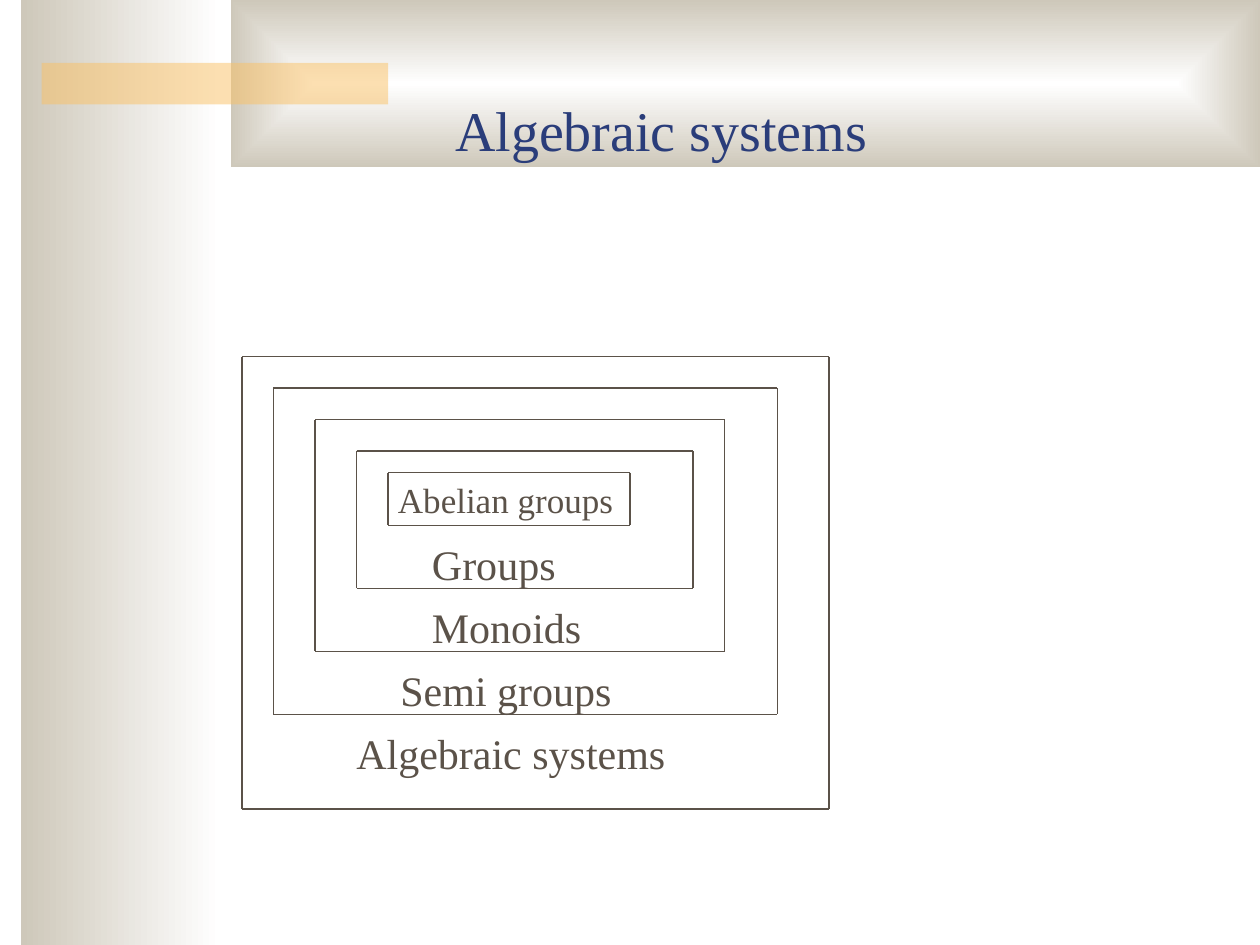
from lxml import etree
from pptx import Presentation
from pptx.dml.color import RGBColor
from pptx.enum.shapes import MSO_CONNECTOR, MSO_SHAPE
from pptx.enum.text import MSO_ANCHOR, PP_ALIGN
from pptx.oxml.ns import qn
from pptx.util import Inches, Pt

RECTANGLE = MSO_SHAPE.RECTANGLE
STRAIGHT = MSO_CONNECTOR.STRAIGHT
BOTTOM = MSO_ANCHOR.BOTTOM
CENTER = PP_ALIGN.CENTER

WHITE = RGBColor(0xFF, 0xFF, 0xFF)
STONE = RGBColor(0xCE, 0xC8, 0xBA)
AMBER = RGBColor(0xFA, 0xC1, 0x64)
NAVY = RGBColor(0x2A, 0x3D, 0x7A)
BROWN = RGBColor(0x5B, 0x52, 0x49)
FONT = "Times New Roman"

TITLE = "Algebraic systems"
# Innermost first: label, text left, size, space before, frame (left, top, right, bottom)
SYSTEMS = [
    ("Abelian groups", 3.16, 20, 0, (3.08, 3.75, 5, 4.17)),
    ("Groups", 3.43, 24, 10, (2.83, 3.58, 5.5, 4.67)),
    ("Monoids", 3.43, 24, 7.2, (2.5, 3.33, 5.75, 5.17)),
    ("Semi groups", 3.18, 24, 7.2, (2.17, 3.08, 6.17, 5.67)),
    ("Algebraic systems", 2.83, 24, 7.2, (1.92, 2.83, 6.58, 6.42)),
]
LABELS_LEFT, INSET = 1.17, 0.1

prs = Presentation()
prs.slide_width, prs.slide_height = Inches(10), Inches(7.5)
slide = prs.slides.add_slide(prs.slide_layouts[6])


def add_band(*box):
    band = slide.shapes.add_shape(RECTANGLE, *map(Inches, box))
    band.shadow.inherit = False
    band.line.fill.background()
    return band


def fade_to_stone(band):
    band.fill.gradient()
    band.fill.gradient_angle = 180
    for stop, color in zip(band.fill.gradient_stops, (WHITE, STONE)):
        stop.color.rgb = color


def add_text_frame(*box):
    frame = slide.shapes.add_textbox(*map(Inches, box)).text_frame
    frame.word_wrap = True
    return frame


def add_run(paragraph, text, size, color):
    run = paragraph.add_run()
    run.text = text
    run.font.name = FONT
    run.font.size = Pt(size)
    run.font.color.rgb = color


def add_edge(*ends):
    edge = slide.shapes.add_connector(STRAIGHT, *map(Inches, ends))
    edge.line.color.rgb = BROWN
    edge.line.width = Pt(0.75)
    etree.SubElement(edge._element.spPr, qn("a:effectLst"))


# Side band, fading to the right
fade_to_stone(add_band(0.17, 0, 1.58, 7.5))

# Header band, fading from its centre to all four sides
header = add_band(1.83, 0, 8.17, 1.33)
fade_to_stone(header)
linear = header._element.spPr.find(".//" + qn("a:lin"))
radial = etree.Element(qn("a:path"), path="rect")
etree.SubElement(radial, qn("a:fillToRect"),
                 {side: "50000" for side in "ltrb"})
linear.getparent().replace(linear, radial)

# Translucent accent bar
accent = add_band(0.33, 0.5, 2.75, 0.33)
accent.fill.solid()
accent.fill.fore_color.rgb = AMBER
amber = accent._element.spPr.find(".//" + qn("a:srgbClr"))
etree.SubElement(amber, qn("a:alpha"), val="50000")

# Title
title = add_text_frame(1, 0.75, 8.5, 0.59)
title.vertical_anchor = BOTTOM
title.paragraphs[0].alignment = CENTER
add_run(title.paragraphs[0], TITLE, 32, NAVY)

# Labels, one per system, and the nested frames around them
labels = add_text_frame(LABELS_LEFT, 2.3, 8.5, 4.5)
labels.margin_top = Inches(1.5)
for i, (name, text_left, size, gap, (left, top, right, bottom)) in enumerate(SYSTEMS):
    label = labels.paragraphs[0] if i == 0 else labels.add_paragraph()
    label.space_before = Pt(gap)
    indent = Inches(text_left - LABELS_LEFT - INSET)
    label._p.get_or_add_pPr().set("marL", str(indent))
    add_run(label, name, size, BROWN)

    for x in (left, right):
        add_edge(x, top, x, bottom)
    for y in (top, bottom):
        add_edge(left, y, right, y)

prs.save("out.pptx")
